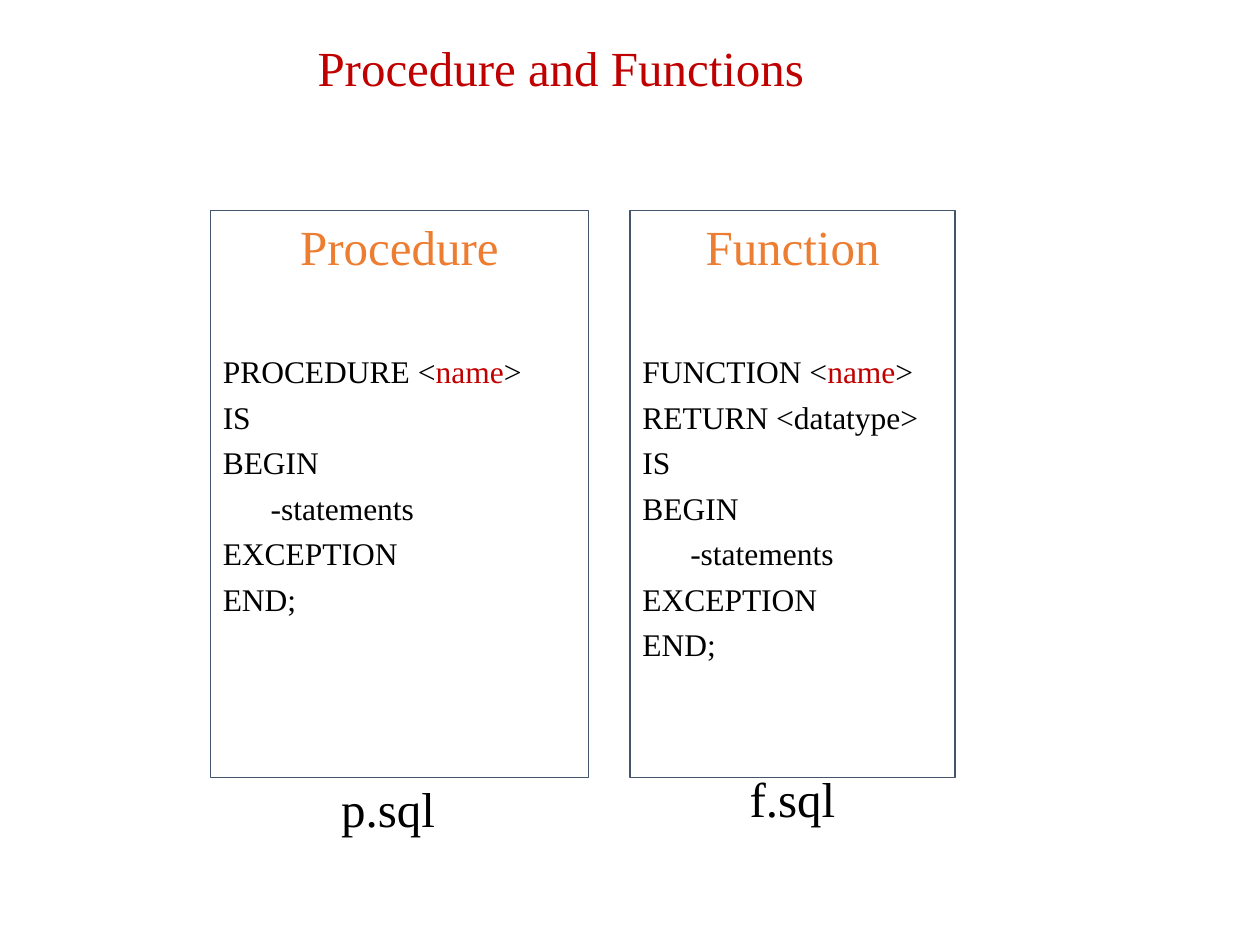
from pptx import Presentation
from pptx.dml.color import RGBColor
from pptx.enum.shapes import MSO_SHAPE as Shape
from pptx.enum.text import MSO_ANCHOR as Anchor, MSO_AUTO_SIZE as Fit, PP_ALIGN as Align
from pptx.util import Inches, Pt

FONT = "Times New Roman"
BLACK = RGBColor(0x00, 0x00, 0x00)
RED = RGBColor(0xC0, 0x00, 0x00)
ORANGE = RGBColor(0xED, 0x7D, 0x31)
SLATE = RGBColor(0x44, 0x54, 0x6A)

HEAD, CODE = 28, 18
TOP, TALL = 1.67, 4.5
BODY = ["IS", "BEGIN", "-statements", "EXCEPTION", "END;"]


def add_run(para, text, size, color):
    run = para.add_run()
    run.text = text
    run.font.name = FONT
    run.font.size = Pt(size)
    run.font.color.rgb = color


def add_line(frame, runs, gap):
    """Add a line of code; a leading dash marks an indented one."""
    para = frame.add_paragraph()
    para.alignment = Align.LEFT
    para.space_before = Pt(gap)
    if runs[0][0].startswith("-"):
        para._p.get_or_add_pPr().set("marL", str(Inches(0.38)))
    for text, color in runs:
        add_run(para, text, CODE, color)


def add_panel(slide, left, width, head, lines):
    box = slide.shapes.add_shape(
        Shape.RECTANGLE, Inches(left), Inches(TOP), Inches(width), Inches(TALL))
    box.shadow.inherit = False
    box.fill.background()
    box.line.color.rgb = SLATE
    box.line.width = Pt(0.75)
    frame = box.text_frame
    frame.word_wrap = True
    frame.vertical_anchor = Anchor.TOP
    para = frame.paragraphs[0]
    para.alignment = Align.CENTER
    add_run(para, head, HEAD, ORANGE)
    first = [(f"{head.upper()} <", BLACK), ("name", RED), (">", BLACK)]
    add_line(frame, first, 44)
    for line in lines:
        add_line(frame, [(line, BLACK)], 4.4)


def set_label(box, left, top, width, text, color):
    """Place a one-line box and fill in its text."""
    box.left, box.top = Inches(left), Inches(top)
    box.width, box.height = Inches(width), Inches(0.57)
    frame = box.text_frame
    frame.word_wrap = False
    frame.auto_size = Fit.SHAPE_TO_FIT_TEXT
    frame.vertical_anchor = Anchor.TOP
    para = frame.paragraphs[0]
    para.alignment = Align.LEFT
    add_run(para, text, HEAD, color)


def main():
    deck = Presentation()
    deck.slide_width, deck.slide_height = Inches(10), Inches(7.5)
    slide = deck.slides.add_slide(deck.slide_layouts[5])
    set_label(slide.shapes.title, 2.42, 0.25, 4.1, "Procedure and Functions", RED)

    add_panel(slide, 1.67, 3, "Procedure", BODY)
    add_panel(slide, 5, 2.58, "Function", ["RETURN <datatype>"] + BODY)

    for left, top, width, text in [(2.61, 6.13, 0.95, "p.sql"),
                                   (5.85, 6.05, 0.89, "f.sql")]:
        box = slide.shapes.add_textbox(0, 0, 0, 0)
        set_label(box, left, top, width, text, BLACK)
    deck.save("out.pptx")


if __name__ == "__main__":
    main()
